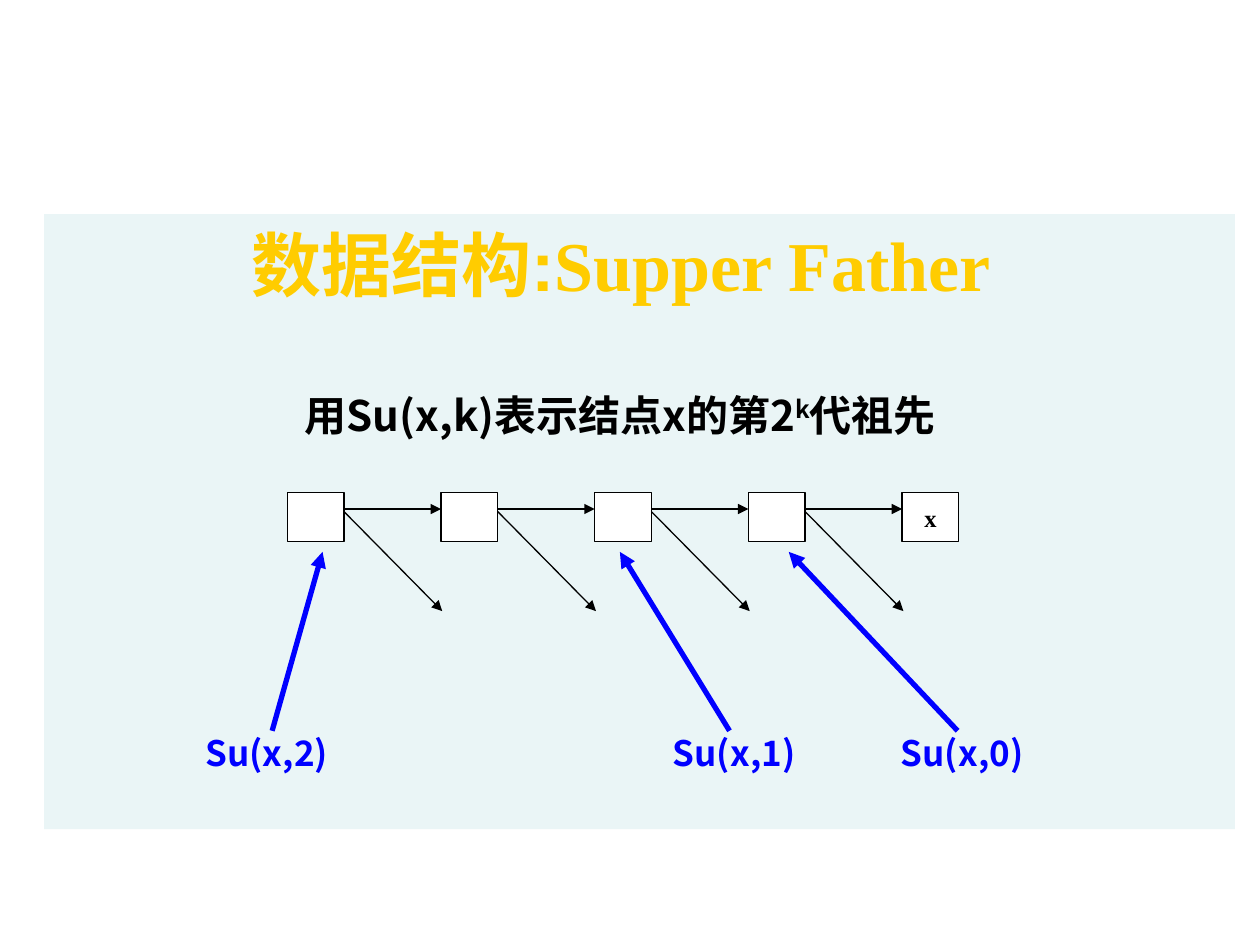
"""Build the Supper Father data structure slide on a 100 by 75 grid."""
import pptx
import pptx.dml.color
import pptx.enum.shapes
import pptx.enum.text
import pptx.oxml
import pptx.oxml.ns
import pptx.util

COLS, ROWS, CELL = 100, 75, 0.1
COLORS = {"panel": "BBE0E3", "title": "FFCC00", "ink": "000000", "box": "FFFFFF", "label": "0000FF"}
SANS, SERIF = "Noto Sans CJK SC", "Times New Roman"
NS = pptx.oxml.ns.nsdecls("a")
CENTER = pptx.enum.text.PP_ALIGN.CENTER
MIDDLE = pptx.enum.text.MSO_ANCHOR.MIDDLE
BOX_LEFT, BOX_TOP, BOX_W, BOX_H, PITCH, BOX_COUNT = 22.8, 39.1, 4.5, 3.9, 12.2, 5


def grid(*cells):
    """Convert grid cells to lengths."""
    return [pptx.util.Inches(c * CELL) for c in cells]


def rgb(name):
    """Look up a named colour."""
    return pptx.dml.color.RGBColor.from_string(COLORS[name])


def add_run(p, text, size, color, font=SANS, raised=False, shadow=False):
    """Append one bold run to a paragraph."""
    r = p.add_run()
    r.text = text
    r.font.size = pptx.util.Pt(size)
    r.font.bold = True
    r.font.color.rgb = rgb(color)
    rPr = r._r.get_or_add_rPr()
    if raised:
        rPr.set("baseline", "30000")
    if shadow:
        rPr.append(pptx.oxml.parse_xml(
            f'<a:effectLst {NS}><a:outerShdw dist="17961" dir="2700000">'
            f'<a:srgbClr val="{COLORS["ink"]}"/></a:outerShdw></a:effectLst>'))
    r.font.name = font
    rPr.find(pptx.oxml.ns.qn("a:latin")).addnext(
        pptx.oxml.parse_xml(f'<a:ea {NS} typeface="{SANS}"/>'))


def add_text(slide, at, space=0):
    """Add a wrapping text box and return its first paragraph."""
    tf = slide.shapes.add_textbox(*grid(*at)).text_frame
    tf.word_wrap = True
    p = tf.paragraphs[0]
    p.space_before = pptx.util.Pt(space)
    return p


def add_rect(slide, at, fill, line=None, alpha=None):
    """Add a flat rectangle."""
    sp = slide.shapes.add_shape(pptx.enum.shapes.MSO_SHAPE.RECTANGLE, *grid(*at))
    sp.shadow.inherit = False
    sp.fill.solid()
    sp.fill.fore_color.rgb = rgb(fill)
    if alpha:
        clr = sp._element.spPr.find(".//" + pptx.oxml.ns.qn("a:srgbClr"))
        clr.append(pptx.oxml.parse_xml(f'<a:alpha {NS} val="{alpha * 1000}"/>'))
    if line:
        sp.line.color.rgb = rgb(line)
        sp.line.width = pptx.util.Pt(0.74)
    else:
        sp.line.fill.background()
    return sp


def add_arrow(slide, start, end, color="ink", width=0.74):
    """Add a straight arrow."""
    cx = slide.shapes.add_connector(
        pptx.enum.shapes.MSO_CONNECTOR.STRAIGHT, *grid(*start, *end))
    cx.line.color.rgb = rgb(color)
    cx.line.width = pptx.util.Pt(width)
    cx.line._get_or_add_ln().append(pptx.oxml.parse_xml(f'<a:tailEnd {NS} type="triangle"/>'))
    cx._element.spPr.append(pptx.oxml.parse_xml(f"<a:effectLst {NS}/>"))


def add_title(slide):
    """Add the slide heading."""
    p = add_text(slide, (4.3, 16.2, 90, 9.5))
    p.alignment = CENTER
    p._parent.vertical_anchor = MIDDLE
    add_run(p, "数据结构:", 40, "title", "Arial", shadow=True)
    add_run(p, "Supper Father", 40, "title", SERIF, shadow=True)


def add_chain(slide):
    """Add the row of nodes with forward and branching arrows."""
    for i in range(BOX_COUNT):
        left = BOX_LEFT + i * PITCH
        right = left + BOX_W
        sp = add_rect(slide, (left, BOX_TOP, BOX_W, BOX_H), "box", "ink")
        if i < BOX_COUNT - 1:
            add_arrow(slide, (right, 40.4), (left + PITCH, 40.4))
            add_arrow(slide, (right, 40.6), (right + 7.8, 48.5))
    tf = sp.text_frame
    tf.vertical_anchor = MIDDLE
    tf.paragraphs[0].alignment = CENTER
    add_run(tf.paragraphs[0], "x", 14, "ink", SERIF)


def add_label(slide, text, left, tail, head):
    """Add an ancestor label and its pointer."""
    p = add_text(slide, (left, 57.6, 14.9, 4.4), 12.5)
    add_run(p, text, 20, "label")
    add_arrow(slide, (tail, 58), (head, 43.8), "label", 3)


def add_definition(slide):
    """Add the sentence that defines Su(x,k)."""
    p = add_text(slide, (23.2, 30.4, 54.3, 9), 15)
    add_run(p, "用Su(x,k)表示结点x的第2", 24, "ink")
    add_run(p, "k", 24, "ink", raised=True)
    add_run(p, "代祖先", 24, "ink")


def main():
    """Build and save the slide."""
    prs = pptx.Presentation()
    prs.slide_width, prs.slide_height = grid(COLS, ROWS)
    slide = prs.slides.add_slide(prs.slide_layouts[6])
    add_rect(slide, (3.5, 17, 94.5, 48.8), "panel", alpha=30)
    add_title(slide)
    add_chain(slide)
    for label in (("Su(x,0)", 70.5, 76, 62.6),
                  ("Su(x,2)", 15.3, 21.6, 25.6),
                  ("Su(x,1)", 52.4, 57.9, 49.2)):
        add_label(slide, *label)
    add_definition(slide)
    prs.save("out.pptx")


main()
